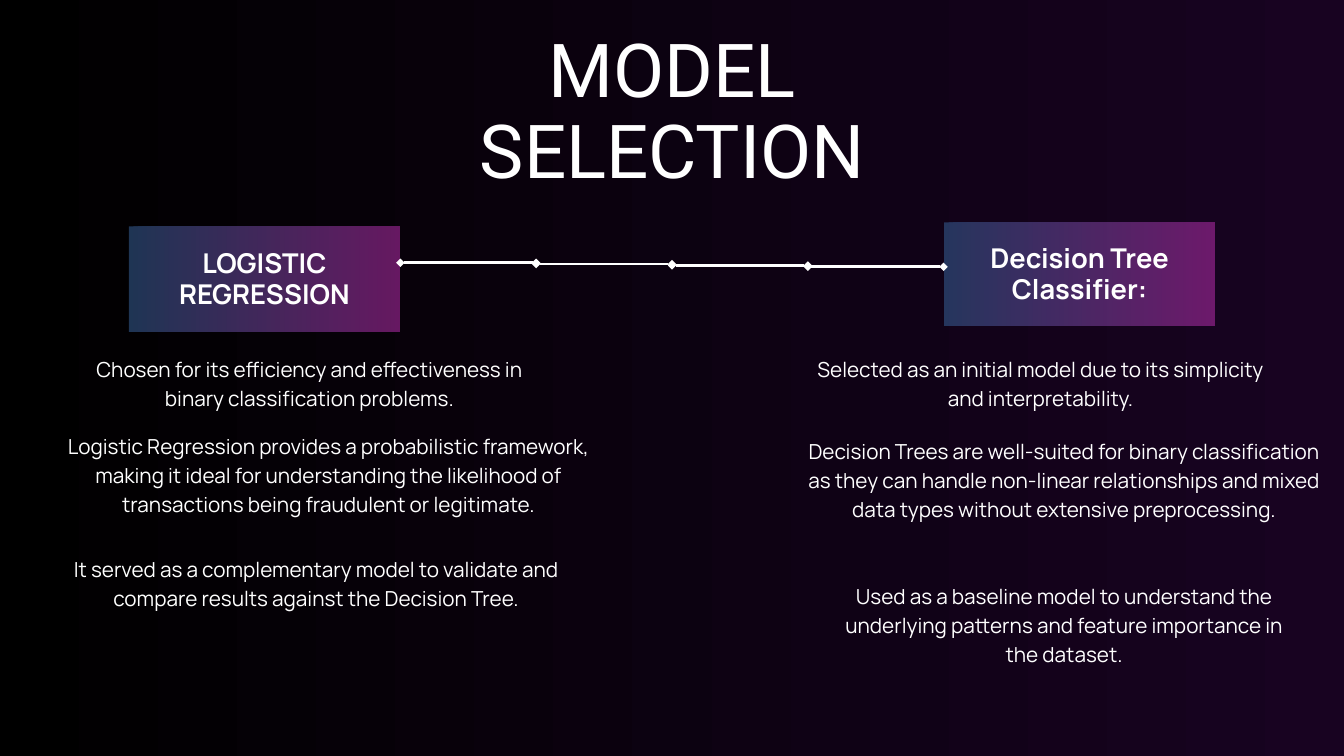
import pptx
import pptx.util
import pptx.dml.color
import pptx.enum.shapes
import pptx.enum.text
import pptx.oxml.ns
import lxml.etree

Pt = pptx.util.Pt
RGB = pptx.dml.color.RGBColor.from_string
qn = pptx.oxml.ns.qn
ALIGN = pptx.enum.text.PP_ALIGN
ANCHOR = pptx.enum.text.MSO_ANCHOR

COLORS = {
    "white": "FFFFFF",
    "black": "000000",
    "night": "180321",
    "blue": "365E93",
    "pink": "AF2BA5",
}
STYLES = {
    "title": ({"name": "Roboto", "size": Pt(79.7), "bold": False}, Pt(86.9)),
    "label": ({"name": "Manrope", "size": Pt(29.2), "bold": True}, Pt(32.5)),
    "body": ({"name": "Manrope", "size": Pt(22.2), "bold": False}, Pt(31.1)),
}
FRAME = {
    "word_wrap": True,
    "auto_size": pptx.enum.text.MSO_AUTO_SIZE.NONE,
    "margin_left": 0,
    "margin_right": 0,
    "margin_top": 0,
    "margin_bottom": 0,
}


def apply(target, values):
    for key, value in values.items():
        setattr(target, key, value)


def write(shape, text, style, **extra):
    font, space = STYLES[style]
    frame = shape.text_frame
    apply(frame, {**FRAME, "vertical_anchor": ANCHOR.TOP, **extra})
    frame.text = text
    para = frame.paragraphs[0]
    apply(para, {"alignment": ALIGN.CENTER, "line_spacing": space, "space_before": Pt(0)})
    apply(para.font, font)
    para.font.color.rgb = RGB(COLORS["white"])


def blend(fill, first, last):
    fill.gradient()
    fill.gradient_angle = 0
    for stop, color, place in zip(fill.gradient_stops, (first, last), (0, 1)):
        stop.position = place
        stop.color.rgb = RGB(COLORS[color])


def title(slide, box):
    shape = slide.shapes.title
    apply(shape, dict(zip(("left", "top", "width", "height"), map(Pt, box))))
    write(shape, "MODEL SELECTION", "title")


def label(slide, box, text):
    shape = slide.shapes.add_shape(
        pptx.enum.shapes.MSO_SHAPE.RECTANGLE, *map(Pt, box))
    shape.shadow.inherit = False
    shape.line.fill.background()
    blend(shape.fill, "blue", "pink")
    for color in shape.fill._xPr.iter(qn("a:srgbClr")):
        lxml.etree.SubElement(color, qn("a:alpha"), val="56000")
    write(shape, text, "label", vertical_anchor=ANCHOR.MIDDLE,
          margin_left=Pt(24), margin_right=Pt(24))


def column(slide, box, head, notes):
    left, top, width, height = box
    label(slide, box, head)
    for (dx, dy, wide, high), text in notes:
        note = slide.shapes.add_textbox(
            Pt(left + dx), Pt(top + dy), Pt(wide), Pt(high))
        write(note, text, "body")


def chain(slide, box, count):
    left, top, width, drop = box
    step = width / count
    for i in range(count):
        x, y = left + i * step, top + i * drop / (count - 1)
        link = slide.shapes.add_connector(
            pptx.enum.shapes.MSO_CONNECTOR.STRAIGHT,
            Pt(x), Pt(y), Pt(x + step), Pt(y))
        link.line.color.rgb = RGB(COLORS["white"])
        link.line.width = Pt(3)
        line = link.line._get_or_add_ln()
        for end in ("a:headEnd", "a:tailEnd"):
            lxml.etree.SubElement(line, qn(end), type="diamond")
        lxml.etree.SubElement(link._element.spPr, qn("a:effectLst"))


def main():
    deck = pptx.Presentation()
    apply(deck, {"slide_width": Pt(1440), "slide_height": Pt(810)})
    slide = deck.slides.add_slide(deck.slide_layouts[5])
    blend(slide.background.fill, "black", "night")
    title(slide, (482.4, 33.8, 476, 174))
    column(slide, (138.2, 242.6, 290.2, 113), "LOGISTIC REGRESSION", [
        ((-51.1, 134.7, 488.9, 61.2),
         "Chosen for its efficiency and effectiveness in binary "
         "classification problems."),
        ((-79.2, 217.5, 586.1, 91.4),
         "Logistic Regression provides a probabilistic framework, making it "
         "ideal for understanding the likelihood of transactions being "
         "fraudulent or legitimate."),
        ((-105.1, 350, 611.3, 61.2),
         "It served as a complementary model to validate and compare results "
         "against the Decision Tree."),
    ])
    column(slide, (1011.6, 238.3, 290.2, 110.9), "Decision Tree Classifier:", [
        ((-141.1, 139, 488.9, 61.2),
         "Selected as an initial model due to its simplicity and "
         "interpretability."),
        ((-146.9, 227.5, 550.8, 121.7),
         "Decision Trees are well-suited for binary classification as they "
         "can handle non-linear relationships and mixed data types without "
         "extensive preprocessing."),
        ((-115.9, 383.1, 488.9, 91.4),
         "Used as a baseline model to understand the underlying patterns and "
         "feature importance in the dataset."),
    ])
    chain(slide, (429, 281.5, 582, 4.4), 4)
    deck.save("out.pptx")


if __name__ == "__main__":
    main()
